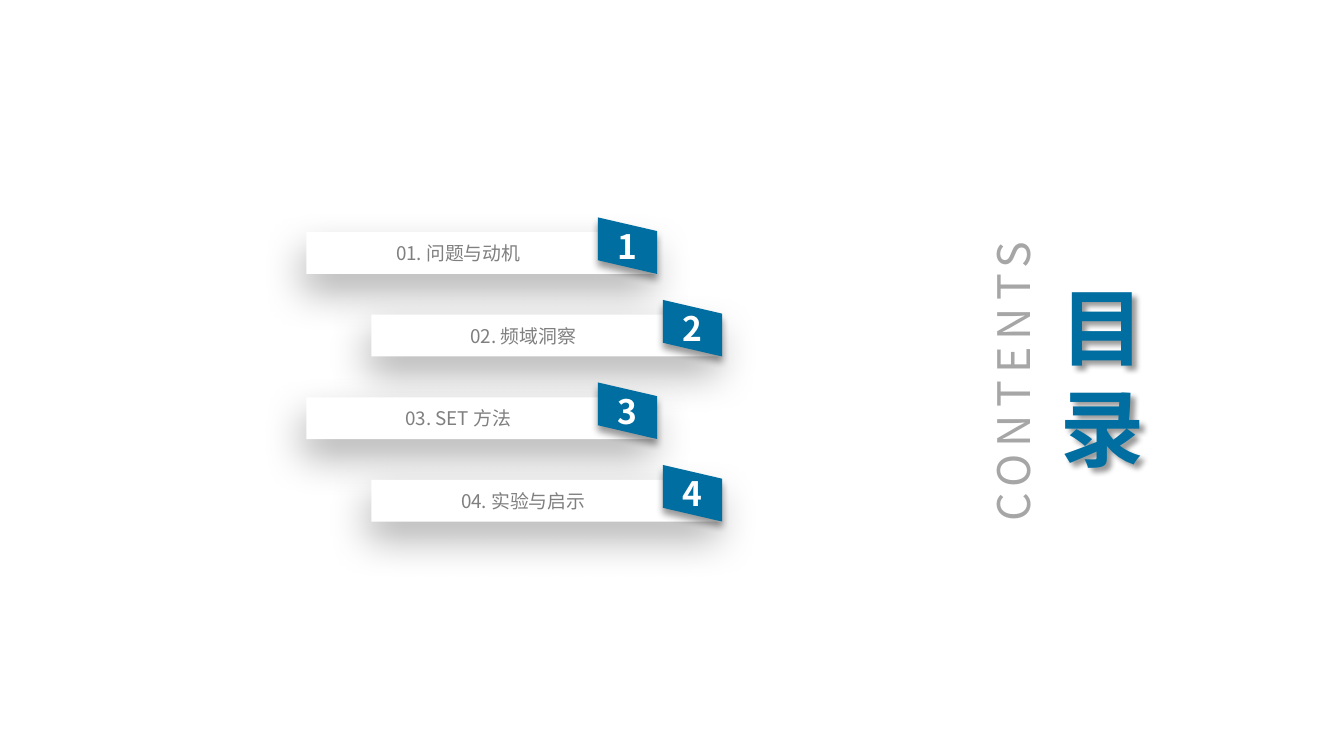
from lxml import etree
from pptx import Presentation
from pptx.dml.color import RGBColor
from pptx.enum import shapes, text
from pptx.oxml import ns
from pptx.util import Cm, Pt

CHAPTERS = ["问题与动机", "频域洞察", "SET 方法", "实验与启示"]
HEADING = "目录"
SUBHEADING = "CONTENTS"

FONT = "Noto Sans CJK SC"
COLOURS = {"accent": "006EA0", "paper": "FFFFFF", "chapter": "7F7F7F",
           "subheading": "A6A6A6", "shadow": "000000"}

# Lengths in centimetres
FIRST_LEFT, FIRST_TOP = 5.79, 4.39
INDENT, PITCH = 1.23, 1.56
BAR_WIDTH, BAR_HEIGHT = 6.63, 0.79
BADGE_WIDTH, BADGE_HEIGHT = 1.12, 1.07
BADGE_SLANT, BADGE_RISE = 0.26, 0.28


def colour(key):
    return RGBColor.from_string(COLOURS[key])


def add_run(paragraph, wording, size, colour_key, bold=False, spacing=None):
    """Add a run with the font set for Latin and East Asian letters alike."""
    run = paragraph.add_run()
    run.text = wording
    run.font.size = Pt(size)
    run.font.bold = bold
    run.font.color.rgb = colour(colour_key)
    run.font.name = FONT
    properties = run.font._element
    east_asian = etree.Element(ns.qn("a:ea"), typeface=FONT)
    properties.find(ns.qn("a:latin")).addnext(east_asian)
    if spacing:
        properties.set("spc", str(round(spacing * 100)))


def cast_shadow(shape, opacity, blur, distance, angle):
    """Give a soft shadow: opacity in percent, blur and distance in points."""
    shape.shadow.inherit = False
    effects = shape._element.spPr.find(ns.qn("a:effectLst"))
    outer = etree.SubElement(
        effects, ns.qn("a:outerShdw"), blurRad=str(Pt(blur)),
        dist=str(Pt(distance)), dir=str(angle * 60000),
        algn="t", rotWithShape="0")
    tint = etree.SubElement(outer, ns.qn("a:srgbClr"), val=COLOURS["shadow"])
    etree.SubElement(tint, ns.qn("a:alpha"), val=str(opacity * 1000))


def paint(shape, colour_key):
    shape.fill.solid()
    shape.fill.fore_color.rgb = colour(colour_key)
    shape.line.fill.background()


def add_bar(slide, left, top, wording):
    bar = slide.shapes.add_shape(
        shapes.MSO_SHAPE.RECTANGLE,
        Cm(left), Cm(top), Cm(BAR_WIDTH), Cm(BAR_HEIGHT))
    paint(bar, "paper")
    cast_shadow(bar, 30, 22, 10, 101)
    frame = bar.text_frame
    frame.margin_left = frame.margin_bottom = 0
    frame.margin_top, frame.margin_right = Cm(0.18), Cm(0.89)
    frame.word_wrap = False
    frame.vertical_anchor = text.MSO_ANCHOR.TOP
    frame.paragraphs[0].alignment = text.PP_ALIGN.CENTER
    add_run(frame.paragraphs[0], wording, 10.1, "chapter")


def add_badge(slide, left, top, number):
    right, bottom = left + BADGE_WIDTH, top + BADGE_HEIGHT
    outline = slide.shapes.build_freeform(Cm(left), Cm(top))
    outline.add_line_segments([
        (Cm(left), Cm(bottom - BADGE_SLANT)), (Cm(right), Cm(bottom)),
        (Cm(right), Cm(top + BADGE_SLANT))], close=True)
    badge = outline.convert_to_shape()
    paint(badge, "accent")
    cast_shadow(badge, 40, 4, 3, 90)
    frame = badge.text_frame
    frame.vertical_anchor = text.MSO_ANCHOR.MIDDLE
    frame.paragraphs[0].alignment = text.PP_ALIGN.CENTER
    add_run(frame.paragraphs[0], number, 18, "paper", bold=True)


def add_subheading(slide):
    subheading = slide.shapes.add_textbox(Cm(15.54), Cm(6.6), Cm(7.21), Cm(1.24))
    subheading.rotation = 270
    frame = subheading.text_frame
    frame.word_wrap = False
    frame.vertical_anchor = text.MSO_ANCHOR.MIDDLE
    frame.paragraphs[0].alignment = text.PP_ALIGN.CENTER
    add_run(frame.paragraphs[0], SUBHEADING, 24, "subheading", spacing=3.8)


def set_heading(slide):
    heading = slide.shapes.title
    heading.left, heading.top = Cm(19.79), Cm(5.87)
    heading.width, heading.height = Cm(1.17), Cm(2.49)
    cast_shadow(heading, 40, 3, 3, 45)
    frame = heading.text_frame
    frame.word_wrap = True
    frame.auto_size = text.MSO_AUTO_SIZE.NONE
    frame.vertical_anchor = text.MSO_ANCHOR.MIDDLE
    frame.paragraphs[0].alignment = text.PP_ALIGN.LEFT
    add_run(frame.paragraphs[0], HEADING, 45, "accent", bold=True)


def main():
    deck = Presentation()
    deck.slide_width, deck.slide_height = Cm(25.4), Cm(14.29)
    title_only = deck.slide_layouts[5]
    slide = deck.slides.add_slide(title_only)
    for index, chapter in enumerate(CHAPTERS):
        left = FIRST_LEFT + index % 2 * INDENT
        top = FIRST_TOP + index * PITCH
        add_bar(slide, left, top, f"{index + 1:02d}. {chapter}")
        add_badge(slide, left + BAR_WIDTH - BADGE_WIDTH, top - BADGE_RISE,
                  str(index + 1))
    add_subheading(slide)
    set_heading(slide)
    deck.save("out.pptx")


if __name__ == "__main__":
    main()
